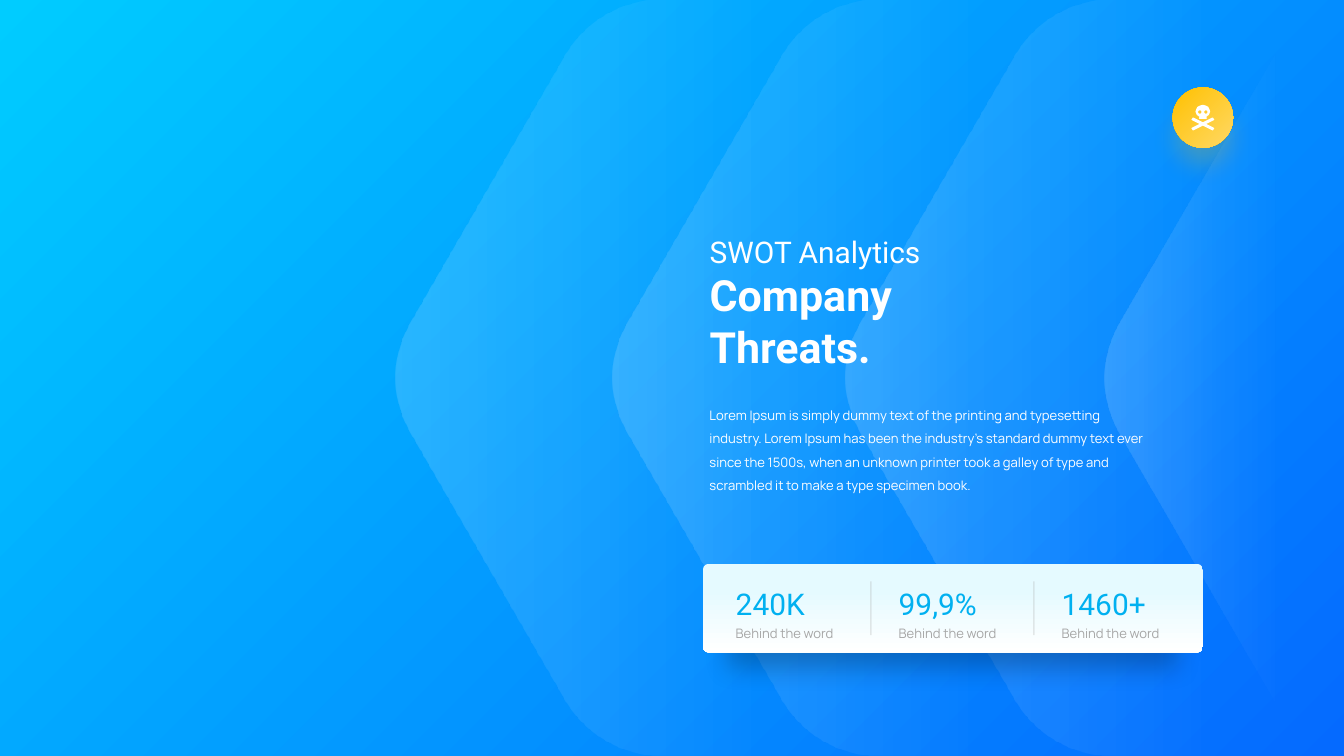
import math
from lxml import etree
from pptx import Presentation
from pptx.dml.color import RGBColor
from pptx.enum.shapes import MSO_CONNECTOR, MSO_SHAPE
from pptx.enum.text import MSO_ANCHOR, MSO_AUTO_SIZE, PP_ALIGN
from pptx.oxml.ns import qn
from pptx.util import Inches, Pt

RECTANGLE, OVAL, ROUNDED = MSO_SHAPE.RECTANGLE, MSO_SHAPE.OVAL, MSO_SHAPE.ROUNDED_RECTANGLE
STRAIGHT = MSO_CONNECTOR.STRAIGHT
LEFT, TOP = PP_ALIGN.LEFT, MSO_ANCHOR.TOP
NO_FIT, GROW = MSO_AUTO_SIZE.NONE, MSO_AUTO_SIZE.SHAPE_TO_FIT_TEXT

TITLE = ["SWOT Analytics", "Company Threats."]
BODY = (
    "Lorem Ipsum is simply dummy text of the printing and typesetting industry. "
    "Lorem Ipsum has been the industry's standard dummy text ever since the 1500s, "
    "when an unknown printer took a galley of type and scrambled it to make a type "
    "specimen book."
)
STATS = [
    ("240K", "Behind the word"),
    ("99,9%", "Behind the word"),
    ("1460+", "Behind the word"),
]

THEME = {
    "heading": "Roboto", "text": "Manrope",
    "white": "FFFFFF", "grey": "A6A6A6", "accent": "00B0F0",
    "gold": "FFC000", "shadow": "000000",
    "background": [(0, "00CCFF", 100), (1, "056AFF", 100)],
    "chevron": [(0.28, "FFFFFF", 0), (1, "FFFFFF", 15)],
    "badge": [(0, "FFC000", 100), (1, "FFD966", 100)],
    "card": [(0.3, "E5FAFF", 100), (1, "FFFFFF", 100)],
    "large": 32, "title": 46, "small": 14,
}

WIDTH, HEIGHT = 20, 11.25
CHEVRONS = [(5.89, 7.42), (9.12, 7.42), (12.58, 7.42), (16.44, 3.56)]
TIP_CURVE = [(0, 5.62), (0, 5.34), (0.08, 5.05), (0.23, 4.79)]
SHOULDER_CURVE = [(2.51, 0.84), (2.81, 0.32), (3.36, 0), (3.95, 0)]
STAT_LEFT, STAT_STEP, DIVIDER_OFFSET = 10.85, 2.425, 2.11

SKULL_CENTRE = 17.9
HEAD = [(0, 1.56), (0.04, 1.57), (0.08, 1.59), (0.1, 1.63), (0.11, 1.66),
        (0.09, 1.71), (0.05, 1.74), (0.06, 1.76), (0.05, 1.77)]
BONE_AXIS = 1.845
BONE = [(0, 1.82), (0.14, 1.75), (0.15, 1.75), (0.17, 1.78), (0.16, 1.79), (0.05, 1.845)]
EYE_OFFSET, EYE_TOP, EYE_RADIUS = 0.045, 1.667, 0.025


def colour(name):
    return RGBColor.from_string(THEME[name])


def set_alpha(colour_element, percent):
    etree.SubElement(colour_element, qn("a:alpha")).set("val", str(percent * 1000))


def fill_gradient(shape, stops, angle):
    shape.fill.gradient()
    shape.fill.gradient_angle = angle
    for stop, (position, value, _) in zip(shape.fill.gradient_stops, stops):
        stop.position = position
        stop.color.rgb = RGBColor.from_string(value)
    for element, (_, _, opacity) in zip(shape.element.xpath(".//a:gs/a:srgbClr"), stops):
        if opacity < 100:
            set_alpha(element, opacity)


def add_shadow(shape, name):
    effects = shape.element.spPr.find(qn("a:effectLst"))
    shadow = etree.SubElement(effects, qn("a:outerShdw"), {
        "blurRad": str(Pt(28)), "dist": str(Pt(21)), "dir": "5400000",
        "sx": "90000", "sy": "90000", "algn": "ctr", "rotWithShape": "0",
    })
    set_alpha(etree.SubElement(shadow, qn("a:srgbClr"), val=THEME[name]), 23)


def add_panel(slide, kind, box, stops, angle):
    shape = slide.shapes.add_shape(kind, *map(Inches, box))
    shape.shadow.inherit = False
    shape.line.fill.background()
    fill_gradient(shape, stops, angle)
    return shape


def add_outline(slide, contours):
    contours = [[(Inches(x), Inches(y)) for x, y in contour] for contour in contours]
    builder = slide.shapes.build_freeform(*contours[0][0])
    for index, contour in enumerate(contours):
        if index:
            builder.move_to(*contour[0])
        builder.add_line_segments(contour[1:], close=True)
    shape = builder.convert_to_shape()
    shape.shadow.inherit = False
    shape.line.fill.background()
    return shape


def bezier(points, steps=24):
    weights = (1, 3, 3, 1)
    return [
        tuple(sum(weight * (1 - t) ** (3 - k) * t ** k * point[axis]
                  for k, (weight, point) in enumerate(zip(weights, points)))
              for axis in (0, 1))
        for t in (step / steps for step in range(steps + 1))
    ]


def add_chevron(slide, left, width):
    upper = [point for point in bezier(TIP_CURVE) + bezier(SHOULDER_CURVE) if point[0] <= width]
    upper.append((width, upper[-1][1]))
    lower = [(x, HEIGHT - y) for x, y in reversed(upper)]
    shape = add_outline(slide, [[(left + x, y) for x, y in upper + lower]])
    fill_gradient(shape, THEME["chevron"], 180)


def add_skull(slide):
    bones = BONE + [(x, 2 * BONE_AXIS - y) for x, y in reversed(BONE[:-1])]
    contours = [half + [(-x, y) for x, y in reversed(half)] for half in (HEAD, bones)]
    angles = [math.tau * step / 16 for step in range(16)]
    for side in (-1, 1):
        contours.append([(side * EYE_OFFSET + EYE_RADIUS * math.cos(angle),
                          EYE_TOP + EYE_RADIUS * math.sin(angle)) for angle in angles])
    shape = add_outline(slide, [[(SKULL_CENTRE + x, y) for x, y in contour] for contour in contours])
    shape.fill.solid()
    shape.fill.fore_color.rgb = colour("white")


def format_font(paragraph, font, size, colour_name, bold=False):
    for run in paragraph.runs:
        run.font.name = THEME[font]
        run.font.size = Pt(THEME[size])
        run.font.color.rgb = colour(colour_name)
        run.font.bold = bold


def add_text(slide, box, text, font, size, colour_name, spacing, after=0):
    text_frame = slide.shapes.add_textbox(*map(Inches, box)).text_frame
    text_frame.word_wrap = True
    text_frame.auto_size = GROW
    text_frame.text = text
    paragraph = text_frame.paragraphs[0]
    paragraph.line_spacing = spacing
    paragraph.space_after = Pt(after)
    format_font(paragraph, font, size, colour_name)


def place_title(slide):
    title = slide.shapes.title
    slide.shapes.element.append(title.element)
    title.left, title.top, title.width, title.height = map(Inches, (10.46, 3.42, 5.19, 1.41))
    text_frame = title.text_frame
    text_frame.text = "\n".join(TITLE)
    text_frame.word_wrap = True
    text_frame.auto_size = NO_FIT
    text_frame.vertical_anchor = TOP
    for paragraph, size, bold in zip(text_frame.paragraphs, ("large", "title"), (False, True)):
        paragraph.alignment = LEFT
        format_font(paragraph, "heading", size, "white", bold)


def add_divider(slide, x):
    line = slide.shapes.add_connector(STRAIGHT, Inches(x), Inches(8.65), Inches(x), Inches(9.45))
    line.line.width = Pt(1.75)
    line.line.color.rgb = colour("grey")
    set_alpha(line.element.xpath(".//a:ln//a:srgbClr")[0], 26)
    etree.SubElement(line.element.spPr, qn("a:effectLst"))


def main():
    presentation = Presentation()
    presentation.slide_width, presentation.slide_height = Inches(WIDTH), Inches(HEIGHT)
    slide = presentation.slides.add_slide(presentation.slide_layouts[5])

    add_panel(slide, RECTANGLE, (0, 0, WIDTH, HEIGHT), THEME["background"], -45)
    for left, width in CHEVRONS:
        add_chevron(slide, left, width)
    place_title(slide)
    add_text(slide, (10.46, 5.89, 6.74, 1.51), BODY, "text", "small", "white", 1.5)

    badge = add_panel(slide, OVAL, (17.45, 1.3, 0.9, 0.9), THEME["badge"], -45)
    add_shadow(badge, "gold")
    add_skull(slide)

    card = add_panel(slide, ROUNDED, (10.46, 8.39, 7.44, 1.32), THEME["card"], -90)
    card.adjustments[0] = 0.067
    add_shadow(card, "shadow")
    for index, (value, label) in enumerate(STATS):
        left = STAT_LEFT + index * STAT_STEP
        add_text(slide, (left, 9.19, 1.81, 0.41), label, "text", "small", "grey", 1.3, 6)
        add_text(slide, (left, 8.51, 1.81, 0.76), value, "heading", "large", "accent", 1.3, 6)
        if index < len(STATS) - 1:
            add_divider(slide, left + DIVIDER_OFFSET)

    presentation.save("out.pptx")


if __name__ == "__main__":
    main()
